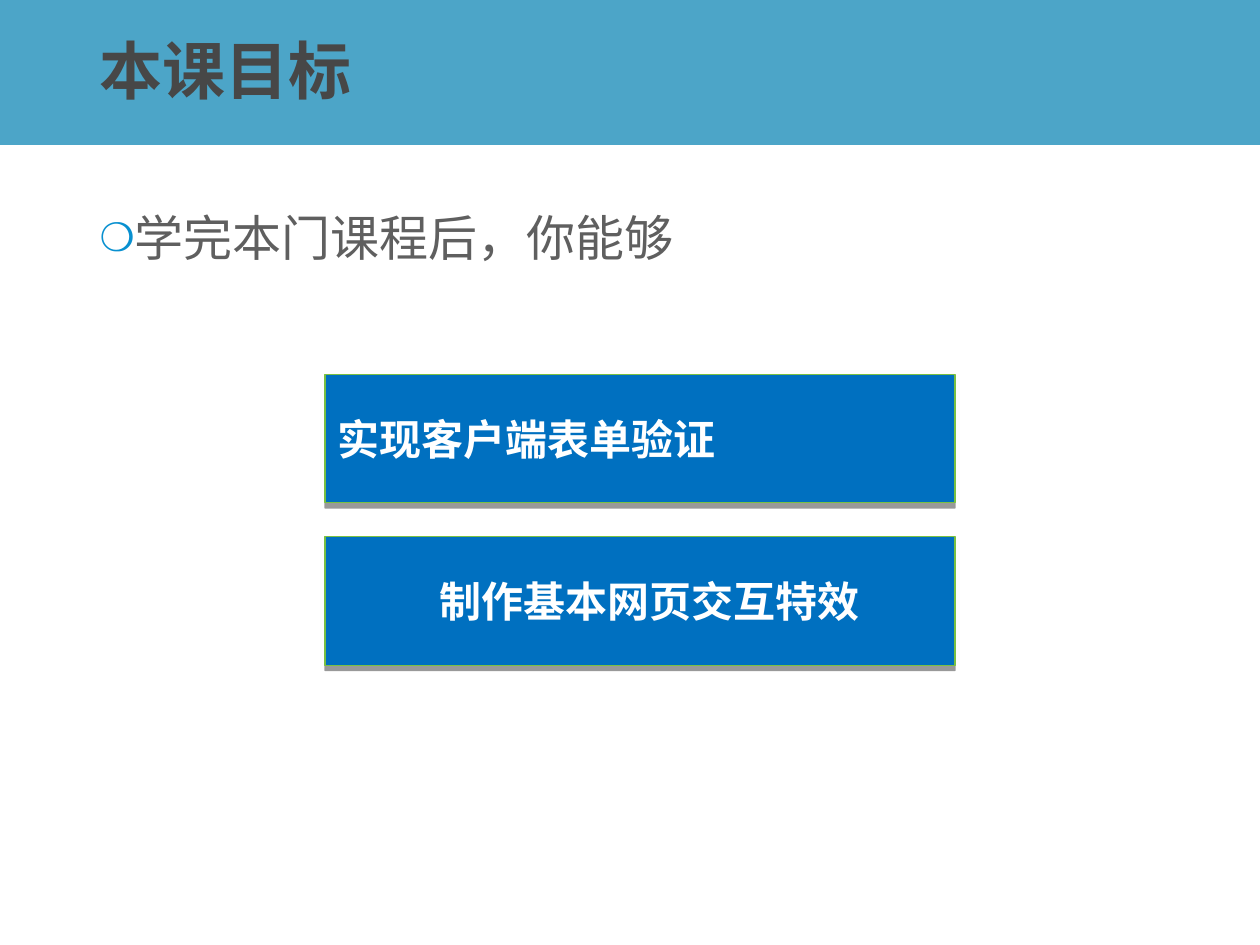
import dataclasses

import pptx
import pptx.dml.color
import pptx.enum.shapes
import pptx.enum.text
import pptx.oxml
import pptx.oxml.ns
import pptx.util

NS = pptx.oxml.ns.nsdecls("a")
ANCHOR = pptx.enum.text.MSO_ANCHOR


@dataclasses.dataclass(frozen=True)
class Theme:
    font: str = "Arial"
    title_size: int = 36
    body_size: int = 28
    goal_size: int = 24
    title: str = "474747"
    body: str = "5F5F5F"
    bullet: str = "0890D0"
    band: str = "0080B2"
    goal_fill: str = "0070C0"
    goal_line: str = "79C043"
    goal_text: str = "FFFFFF"
    shadow: str = "000000"


def rgb(value):
    return pptx.dml.color.RGBColor.from_string(value)


class SlideBuilder:
    """Holds the theme and the current slide; lengths are shares of the slide."""

    def __init__(self, deck, theme):
        self.theme = theme
        self.width, self.height = deck.slide_width, deck.slide_height
        self.slide = deck.slides.add_slide(deck.slide_layouts[1])

    def box(self, left, top, width, height):
        return (round(left * self.width), round(top * self.height),
                round(width * self.width), round(height * self.height))

    def set_text(self, shape, text, size, color, bold=False, spacing=1.0,
                 anchor=ANCHOR.MIDDLE):
        frame = shape.text_frame
        frame.text = text
        frame_format = {"word_wrap": True, "vertical_anchor": anchor,
                        "auto_size": pptx.enum.text.MSO_AUTO_SIZE.NONE}
        for name, value in frame_format.items():
            setattr(frame, name, value)
        line = frame.paragraphs[0]
        line_format = {"alignment": pptx.enum.text.PP_ALIGN.LEFT,
                       "line_spacing": spacing,
                       "space_before": pptx.util.Pt(0)}
        for name, value in line_format.items():
            setattr(line, name, value)
        font = line.runs[0].font
        font_format = {"name": self.theme.font, "bold": bold,
                       "size": pptx.util.Pt(size)}
        for name, value in font_format.items():
            setattr(font, name, value)
        font.color.rgb = rgb(color)
        return line

    def place(self, holder, *share):
        for name, value in zip(("left", "top", "width", "height"), self.box(*share)):
            setattr(holder, name, value)

    def rectangle(self, fill, *share):
        shape = self.slide.shapes.add_shape(
            pptx.enum.shapes.MSO_SHAPE.RECTANGLE, *self.box(*share))
        shape.shadow.inherit = False
        shape.fill.solid()
        shape.fill.fore_color.rgb = rgb(fill)
        return shape

    def band(self, height, opacity):
        band = self.rectangle(self.theme.band, 0, 0, 1, height)
        band.line.fill.background()
        tint = band._element.spPr.find(".//" + pptx.oxml.ns.qn("a:srgbClr"))
        tint.append(pptx.oxml.parse_xml(f'<a:alpha {NS} val="{opacity * 1000}"/>'))
        # Send the band behind the title
        tree = self.slide.shapes._spTree
        tree.remove(band._element)
        tree.insert(2, band._element)

    def title(self, text, *share):
        holder = self.slide.shapes.title
        self.place(holder, *share)
        self.set_text(holder, text, self.theme.title_size, self.theme.title,
                      bold=True, spacing=0.9)

    def bullet(self, text, *share):
        holder = self.slide.placeholders[1]
        self.place(holder, *share)
        line = self.set_text(holder, text, self.theme.body_size, self.theme.body,
                             spacing=0.9, anchor=ANCHOR.TOP)
        self.indent(line, 0.25, -0.25)
        for mark in (f'<a:buClr {NS}><a:srgbClr val="{self.theme.bullet}"/></a:buClr>',
                     f'<a:buSzPct {NS} val="80000"/>',
                     f'<a:buChar {NS} char="❍"/>'):
            line._p.pPr.append(pptx.oxml.parse_xml(mark))

    def indent(self, line, left, first):
        for name, value in {"marL": left, "indent": first}.items():
            line._p.get_or_add_pPr().set(name, str(int(pptx.util.Inches(value))))

    def goal(self, text, left_indent, *share):
        goal = self.rectangle(self.theme.goal_fill, *share)
        goal.line.color.rgb = rgb(self.theme.goal_line)
        goal.line.width = pptx.util.Pt(0.75)
        effects = goal._element.spPr.find(pptx.oxml.ns.qn("a:effectLst"))
        effects.append(pptx.oxml.parse_xml(
            f'<a:outerShdw {NS} blurRad="0" dist="{int(pptx.util.Pt(3))}" '
            f'dir="5400000" rotWithShape="0"><a:srgbClr val="{self.theme.shadow}">'
            '<a:alpha val="40000"/></a:srgbClr></a:outerShdw>'))
        line = self.set_text(goal, text, self.theme.goal_size,
                             self.theme.goal_text, bold=True)
        self.indent(line, left_indent, 0)


def main():
    deck = pptx.Presentation()
    deck.slide_width = pptx.util.Inches(10)
    deck.slide_height = pptx.util.Inches(7.5)
    page = SlideBuilder(deck, Theme())

    # Heading
    page.band(1.15 / 7.5, opacity=70)
    page.title("本课目标", 0.069, 0.16 / 7.5, 0.863, 0.85 / 7.5)

    # Lead-in
    page.bullet("学完本门课程后，你能够", 0.069, 0.22, 0.863, 5.11 / 7.5)

    # Goals, stacked at an even step
    goals = [("实现客户端表单验证", 0), ("制作基本网页交互特效", 0.81)]
    for row, (text, left_indent) in enumerate(goals):
        page.goal(text, left_indent,
                  0.258, (2.97 + 1.29 * row) / 7.5, 0.5, 1.02 / 7.5)

    deck.save("out.pptx")


if __name__ == "__main__":
    main()
